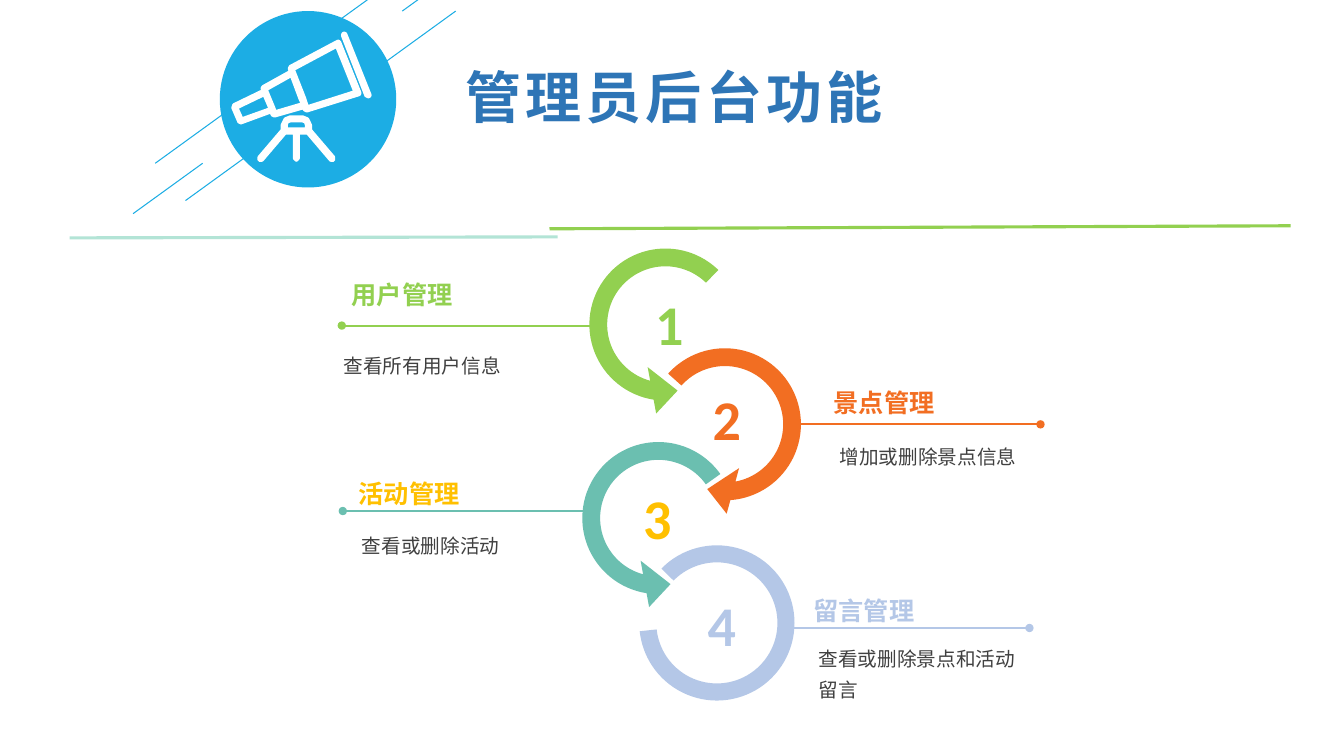
from lxml import etree
from pptx import Presentation
from pptx import util as u
from pptx.dml.color import RGBColor
from pptx.enum import shapes, text
from pptx.oxml import ns

GREEN, ORANGE, TEAL, YELLOW, PALE = "92D050", "F26E22", "6BBFB0", "FFC000", "B4C7E7"
SKY, MINT, BLUE, GREY, WHITE = "1CADE4", "B3E4D6", "2E75B6", "404040", "FFFFFF"


def color(value):
    return RGBColor.from_string(value)


def add_xml(parent, tag, **attrs):
    return etree.SubElement(parent, ns.qn(tag), **attrs)


class SlideKit:
    cjk, latin = "Noto Sans CJK SC", "Calibri"

    def __init__(self, prs):
        self.slide = prs.slides.add_slide(prs.slide_layouts[6])

    def paint(self, sp, fill, outline=None):
        sp.shadow.inherit = False
        sp.fill.solid()
        sp.fill.fore_color.rgb = color(fill)
        if outline:
            sp.line.color.rgb = color(outline)
            sp.line.width = u.Pt(2.25)
            add_xml(sp.line._get_or_add_ln(), "a:round")
        else:
            sp.line.fill.background()

    def shape(self, kind, box, fill, rotation=0, adj=(), flip=False):
        sp = self.slide.shapes.add_shape(kind, *map(u.Inches, box))
        self.paint(sp, fill)
        sp.rotation = rotation
        for i, value in enumerate(adj):
            sp.adjustments[i] = value
        if flip:
            sp._element.spPr.xfrm.set("flipH", "1")

    def line(self, start, end, stroke, width, dot=None):
        sp = self.slide.shapes.add_connector(
            shapes.MSO_CONNECTOR.STRAIGHT, *map(u.Inches, (*start, *end)))
        sp.line.color.rgb = color(stroke)
        sp.line.width = u.Pt(width)
        if dot:
            add_xml(sp.line._get_or_add_ln(), dot, type="oval")
        add_xml(sp._element.spPr, "a:effectLst")

    def outline(self, contours, fill):
        """Contours are given in hundredths of an inch."""
        fb = self.slide.shapes.build_freeform(*contours[0][0], scale=u.Inches(0.01))
        for i, points in enumerate(contours):
            if i:
                fb.move_to(*points[0])
            fb.add_line_segments(points[1:], close=True)
        self.paint(fb.convert_to_shape(), fill, fill)

    def text(self, words, box, size, fill, bold=False, face=None,
             wrap=True, spacing=None, tracking=None):
        sp = self.slide.shapes.add_textbox(*map(u.Inches, box))
        tf = sp.text_frame
        tf.word_wrap = wrap
        tf.auto_size = text.MSO_AUTO_SIZE.SHAPE_TO_FIT_TEXT
        p = tf.paragraphs[0]
        if spacing:
            p.line_spacing = spacing
        r = p.add_run()
        r.text = words
        face = face or self.cjk
        fmt = {"size": u.Pt(size), "bold": bold, "name": face}
        for name, value in fmt.items():
            setattr(r.font, name, value)
        r.font.color.rgb = color(fill)
        rPr = r._r.get_or_add_rPr()
        add_xml(rPr, "a:ea", typeface=face)
        if tracking:
            rPr.set("spc", str(tracking * 100))


# Telescope icon: tube, its three openings, lens rim, tripod, tripod head opening
TELESCOPE = [
    [(337, 42), (336, 41), (335, 41), (288, 66), (287, 68), (288, 71), (261, 86),
     (260, 88), (261, 90), (232, 104), (231, 107), (237, 121), (239, 122),
     (269, 111), (270, 114), (272, 115), (273, 115), (301, 107), (302, 109),
     (304, 110), (305, 110), (356, 94), (357, 93), (357, 92)],
    [(240, 118), (235, 107), (262, 94), (268, 108)],
    [(273, 111), (272, 108), (265, 91), (264, 89), (289, 75), (298, 99), (300, 103)],
    [(305, 106), (304, 103), (302, 97), (291, 69), (334, 46), (352, 91)],
    [(343, 34), (342, 33), (341, 33), (340, 34), (340, 36), (363, 95), (365, 96),
     (366, 96), (367, 95), (367, 94)],
    [(300, 116), (288, 116), (283, 118), (280, 124), (280, 129), (257, 156),
     (257, 159), (260, 159), (283, 132), (292, 132), (292, 157), (294, 159),
     (296, 157), (296, 132), (305, 132), (328, 159), (331, 159), (331, 156),
     (308, 129), (308, 124), (305, 118)],
    [(304, 128), (284, 128), (284, 124), (285, 121), (288, 120), (300, 120),
     (303, 121), (304, 124)],
]

ARROW, ARC = shapes.MSO_SHAPE.CIRCULAR_ARROW, shapes.MSO_SHAPE.BLOCK_ARC
HEAD, TAIL = "a:headEnd", "a:tailEnd"
LINE_LENGTH = 2.47


def arrow_adj(start):
    return 0.098, 13.213, 36.658, start, 0.13


# ring: kind, left, top, size, rotation, adjustments, flip
# others: ring colour, text colour, line start and dot end, number position,
# heading and its position, detail and its box
STEPS = [
    ((ARROW, 5.7, 2.32, 1.8, 342.7, arrow_adj(125.165), True), GREEN, GREEN,
     (3.39, 3.23), HEAD, (6.4, 2.82),
     "用户管理", (3.39, 2.72), "查看所有用户信息", (3.31, 3.39, 2.22, 0.41)),
    ((ARROW, 6.29, 3.31, 1.8, 22.1, arrow_adj(119.795), False), ORANGE, ORANGE,
     (7.85, 4.21), TAIL, (6.97, 3.77),
     "景点管理", (8.17, 3.79), "增加或删除景点信息", (8.23, 4.29, 2.22, 0.41)),
    ((ARROW, 5.63, 4.24, 1.8, 342.7, arrow_adj(118.868), True), TEAL, YELLOW,
     (3.4, 5.07), HEAD, (6.28, 4.75),
     "活动管理", (3.46, 4.7), "查看或删除活动", (3.49, 5.18, 2.22, 0.41)),
    ((ARC, 6.34, 5.41, 1.54, 56.3, (100.856, 70.522, 0.11), False), PALE, PALE,
     (7.74, 6.23), TAIL, (6.92, 5.81),
     "留言管理", (7.97, 5.86), "查看或删除景点和活动留言", (8.02, 6.3, 2.22, 0.71)),
]


def main():
    prs = Presentation()
    prs.slide_width, prs.slide_height = u.Inches(13.33), u.Inches(7.5)
    s = SlideKit(prs)

    # Title and telescope badge with motion lines
    s.text("管理员后台功能", (4.52, 0.57, 5.76, 0.77), 40, BLUE, bold=True, tracking=3)
    s.shape(shapes.MSO_SHAPE.OVAL, (2.18, 0.11, 1.75, 1.75), SKY)
    for x, y in [(4, -0.26), (4.68, -0.39), (2.23, 1.12),
                 (2.01, 1.62), (4.52, 0.11), (2.53, 1.49)]:
        s.line((x, y), (x - 0.69, y + 0.5), SKY, 0.75)
    s.outline(TELESCOPE, WHITE)

    # Divider
    s.line((0.69, 2.36), (5.53, 2.35), MINT, 2.25)
    s.line((5.45, 2.27), (12.8, 2.24), GREEN, 2.25)

    # Chain of four functions
    for number, step in enumerate(STEPS, 1):
        ring, fill, ink, (x, y), dot, num_at, heading, head_at, detail, box = step
        kind, left, top, size, rotation, adj, flip = ring
        s.line((x, y), (x + LINE_LENGTH, y), fill, 1.5, dot)
        s.shape(kind, (left, top, size, size), fill, rotation, adj, flip)
        s.text(str(number), (*num_at, 0.49, 0.77), 40, ink, bold=True,
               face=s.latin, wrap=False)
        s.text(heading, (*head_at, 1.2, 0.4), 18, ink, bold=True, wrap=False)
        s.text(detail, box, 14, GREY, spacing=1.3)

    prs.save("out.pptx")


if __name__ == "__main__":
    main()
